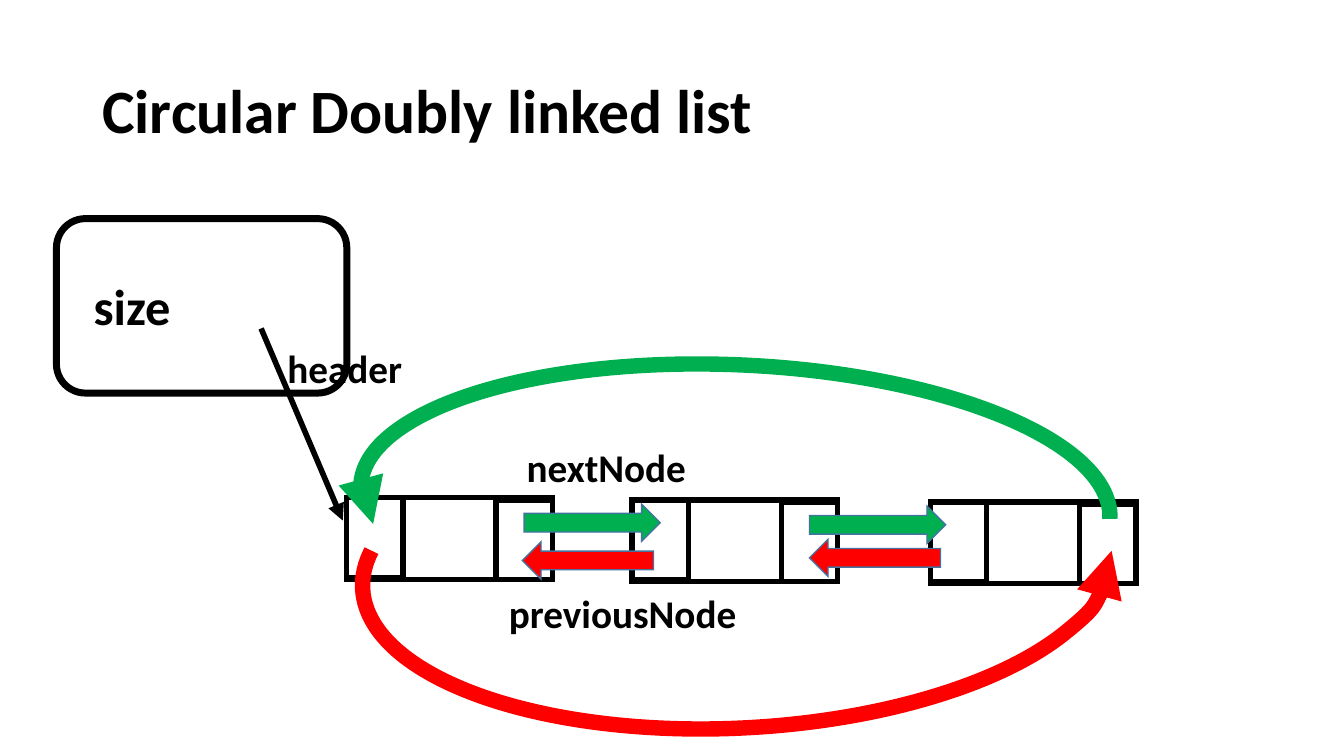
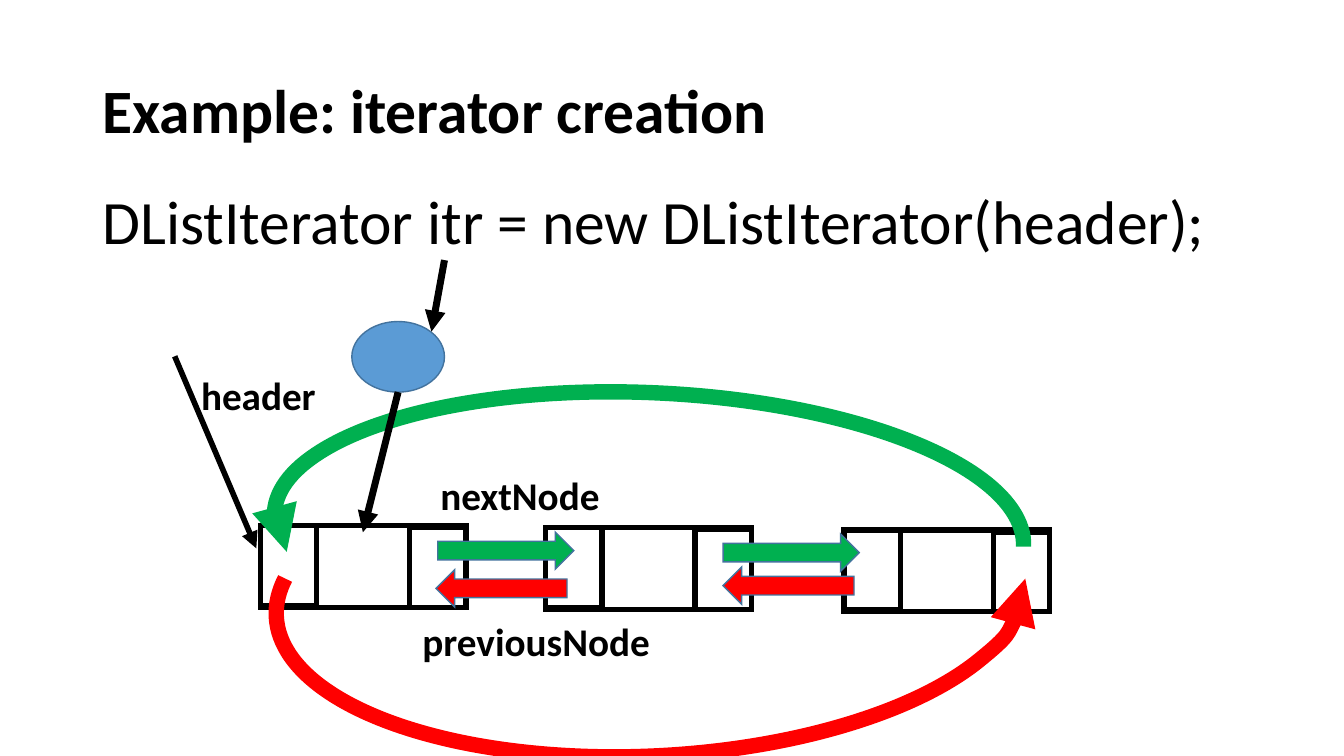
from lxml.etree import SubElement
from pptx import Presentation
from pptx.dml.color import RGBColor
from pptx.enum.shapes import MSO_CONNECTOR, MSO_SHAPE as Preset
from pptx.enum.text import MSO_ANCHOR as Anchor
from pptx.oxml.ns import qn
from pptx.util import Pt

BLACK = RGBColor(0x00, 0x00, 0x00)
WHITE = RGBColor(0xFF, 0xFF, 0xFF)
GREEN = RGBColor(0x00, 0xB0, 0x50)
RED = RGBColor(0xFF, 0x00, 0x00)
BLUE = RGBColor(0x5B, 0x9B, 0xD5)
OUTLINE = RGBColor(0x43, 0x73, 0x9E)
FONT = "Calibri"

# Linked list layout: node offsets follow from the top left of the first node
NODE_OFFSETS = [(0, 0), (203.8, 1.5), (416.9, 3)]
NODE_WIDTH, NODE_HEIGHT = 146.9, 58.3
CELL_WIDTH, CELL_HEIGHT = 40.3, 56.8
ARC_WIDTH = 535.7
ARC_START = 104.457


def add_text(slide, text, left, top, width, height, size,
             bold=True, anchor=Anchor.TOP, line_spacing=None, space_before=0):
    box = slide.shapes.add_textbox(Pt(left), Pt(top), Pt(width), Pt(height))
    frame = box.text_frame
    frame.word_wrap = True
    frame.vertical_anchor = anchor
    paragraph = frame.paragraphs[0]
    paragraph.line_spacing = line_spacing
    paragraph.space_before = Pt(space_before)
    run = paragraph.add_run()
    run.text = text
    run.font.name = FONT
    run.font.size = Pt(size)
    run.font.bold = bold
    run.font.color.rgb = BLACK


def add_title(slide, text):
    add_text(slide, text, 66, 28.8, 828, 104.4, 44,
             anchor=Anchor.MIDDLE, line_spacing=0.9)


def add_preset(slide, preset, left, top, width, height,
               fill=None, line=BLACK, line_width=3.75, flip=None):
    shape = slide.shapes.add_shape(preset, Pt(left), Pt(top), Pt(width), Pt(height))
    shape.shadow.inherit = False
    if fill is None:
        shape.fill.background()
    else:
        shape.fill.solid()
        shape.fill.fore_color.rgb = fill
    shape.line.color.rgb = line
    shape.line.width = Pt(line_width)
    outline = shape.element.spPr.find(qn("a:ln"))
    SubElement(outline, qn("a:miter"), lim="800000")
    if flip:
        shape.element.spPr.find(qn("a:xfrm")).set(flip, "1")
    return shape


def add_arrowhead(shape, end):
    outline = shape.element.spPr.find(qn("a:ln"))
    SubElement(outline, qn(end), type="triangle")


def add_pointer(slide, start, end, width):
    connector = slide.shapes.add_connector(
        MSO_CONNECTOR.STRAIGHT, *(Pt(value) for value in (*start, *end)))
    connector.line.color.rgb = BLACK
    connector.line.width = Pt(width)
    add_arrowhead(connector, "a:tailEnd")
    SubElement(connector.element.spPr, qn("a:effectLst"))


def add_node(slide, left, top):
    right_cell = left + NODE_WIDTH - CELL_WIDTH
    add_preset(slide, Preset.RECTANGLE, left, top, NODE_WIDTH, NODE_HEIGHT)
    add_preset(slide, Preset.RECTANGLE, left, top, CELL_WIDTH, CELL_HEIGHT)
    add_preset(slide, Preset.RECTANGLE, right_cell, top + 1.5, CELL_WIDTH, CELL_HEIGHT)


def add_block_arrow(slide, left, top, width, fill, flip=None):
    add_preset(slide, Preset.RIGHT_ARROW, left, top, width, 26.6,
               fill=fill, line=OUTLINE, line_width=1, flip=flip)


def add_arc(slide, left, top, height, rotation, color, arrow_end, flip=None):
    arc = add_preset(slide, Preset.ARC, left, top, ARC_WIDTH, height,
                     line=color, line_width=11, flip=flip)
    arc.adjustments[0] = ARC_START
    arc.adjustments[1] = 0
    arc.rotation = rotation
    add_arrowhead(arc, arrow_end)


def add_linked_list(slide, left, top):
    # Header pointer and nodes
    add_pointer(slide, (left - 61.2, top - 121), (left - 2.9, top + 16.2), 4)
    for across, down in NODE_OFFSETS:
        add_node(slide, left + across, top + down)

    # Links to the next nodes, then to the previous ones
    for across, down in [(126.7, 4.5), (330.5, 6)]:
        add_block_arrow(slide, left + across, top + down, 97.2, GREEN)
    add_arc(slide, left + 9.7, top - 95, 196.6, 2.5, GREEN, "a:headEnd")
    for across, down in [(330.5, 29.6), (125.5, 31.5)]:
        add_block_arrow(slide, left + across, top + down, 93.6, RED, flip="flipH")
    add_arc(slide, left + 11, top - 61.6, 226.1, 357.1, RED, "a:tailEnd", flip="flipV")

    # Labels
    for text, across, down, width in [
        ("header", -49.5, -113.5, 156),
        ("nextNode", 121.4, -42.3, 156),
        ("previousNode", 108.7, 62, 184),
    ]:
        add_text(slide, text, left + across, top + down, width, 41, 28)


def build_list_slide(slide):
    add_title(slide, "Circular Doubly linked list")
    add_preset(slide, Preset.ROUNDED_RECTANGLE, 40.3, 156.2, 207.4, 124.6,
               fill=WHITE, line_width=5)
    add_text(slide, "size", 59.8, 193, 95.8, 51, 36)
    add_linked_list(slide, 247.7, 355.6)


def build_iterator_slide(slide):
    add_title(slide, "Example: iterator creation")
    add_text(slide, "DListIterator itr = new DListIterator(header);",
             66, 133.2, 828, 72, 44, bold=False, line_spacing=0.9, space_before=10)
    add_linked_list(slide, 186, 375.5)

    # Iterator object with its pointers
    add_preset(slide, Preset.OVAL, 251.3, 229.7, 66.2, 50.4,
               fill=BLUE, line=OUTLINE, line_width=1)
    add_pointer(slide, (284.4, 280.1), (259.2, 380.2), 5)
    add_pointer(slide, (317.5, 185.8), (308.2, 236.9), 5)


def main():
    presentation = Presentation()
    presentation.slide_width = Pt(960)
    presentation.slide_height = Pt(540)
    blank = presentation.slide_layouts[6]
    for build in (build_list_slide, build_iterator_slide):
        build(presentation.slides.add_slide(blank))
    presentation.save("out.pptx")


main()
